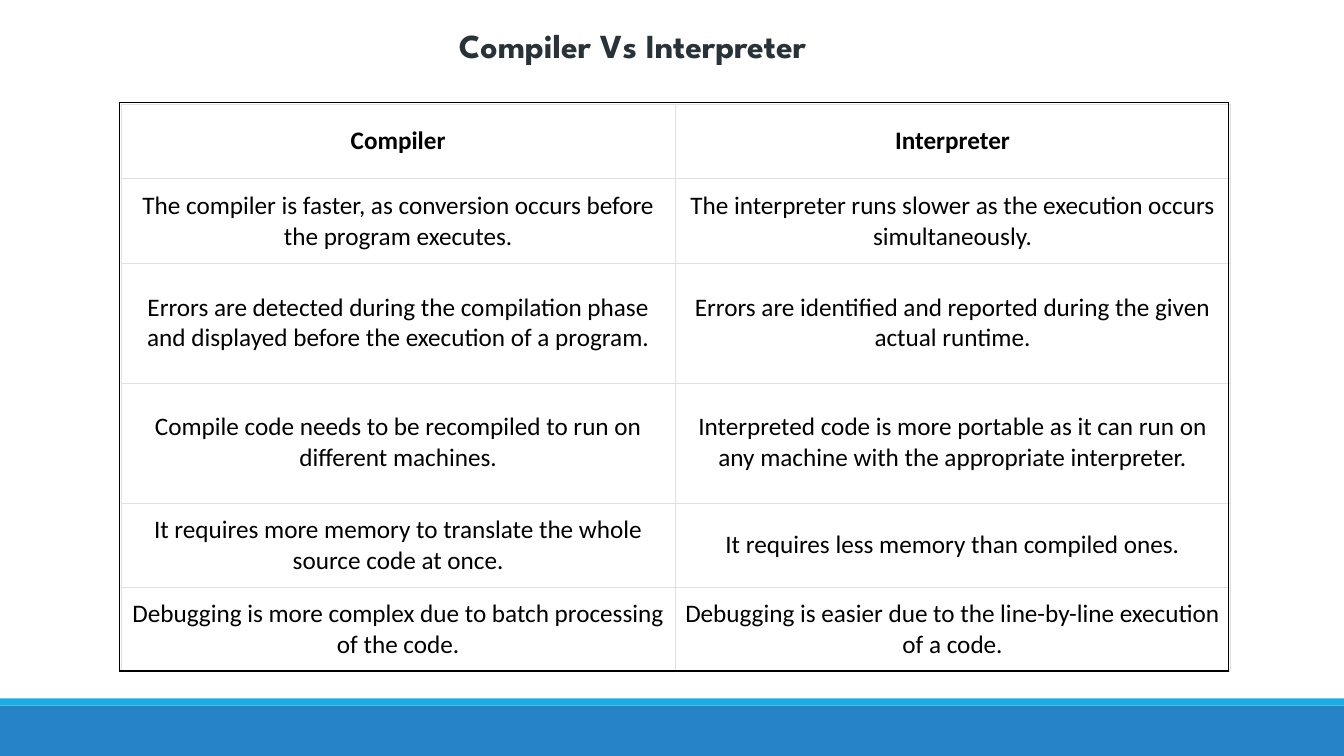
import dataclasses

import lxml.etree
import pptx
import pptx.dml.color
import pptx.enum.shapes
import pptx.enum.text
import pptx.oxml.ns
import pptx.util
from pptx.util import Cm


@dataclasses.dataclass(frozen=True)
class Theme:
    band: str = "2683C6"
    stripe: str = "1CADE4"
    title: str = "273239"
    text: str = "000000"
    paper: str = "FFFFFF"
    grid: str = "DFDFDF"
    frame: str = "000000"
    title_font: str = "League Spartan"
    body_font: str = "Calibri"
    title_size: int = 24
    body_size: int = 18
    grid_width: float = 0.18
    frame_width: float = 1


THEME = Theme()
SLIDE_WIDTH, SLIDE_HEIGHT = Cm(33.87), Cm(19.05)
ROW_HEIGHTS = [Cm(height) for height in (1.88, 2.11, 3.02, 3.02, 2.11, 2.11)]
COMPARISON = [
    ("Compiler", "Interpreter"),
    ("The compiler is faster, as conversion occurs before the program executes.",
     "The interpreter runs slower as the execution occurs simultaneously."),
    ("Errors are detected during the compilation phase and displayed before the execution of a program.",
     "Errors are identified and reported during the given actual runtime."),
    ("Compile code needs to be recompiled to run on different machines.",
     "Interpreted code is more portable as it can run on any machine with the appropriate interpreter."),
    ("It requires more memory to translate the whole source code at once.",
     "It requires less memory than compiled ones."),
    ("Debugging is more complex due to batch processing of the code.",
     "Debugging is easier due to the line-by-line execution of a code."),
]


def rgb(color):
    return pptx.dml.color.RGBColor.from_string(color)


def set_attributes(target, values):
    for name, value in values.items():
        setattr(target, name, value)


def write_centered(text_frame, text, font, size, color, bold):
    paragraph = text_frame.paragraphs[0]
    paragraph.alignment = pptx.enum.text.PP_ALIGN.CENTER
    run = paragraph.add_run()
    run.text = text
    set_attributes(run.font, {"name": font, "size": pptx.util.Pt(size), "bold": bold})
    run.font.color.rgb = rgb(color)


def add_bar(slide, top, height, color):
    shape = slide.shapes.add_shape(
        pptx.enum.shapes.MSO_SHAPE.RECTANGLE, 0, top, SLIDE_WIDTH, height)
    shape.shadow.inherit = False
    shape.fill.solid()
    shape.fill.fore_color.rgb = rgb(color)
    shape.line.fill.background()


def add_title(slide, text):
    box = slide.shapes.add_textbox(Cm(7.47), Cm(0.51), Cm(16.94), Cm(1.27))
    box.text_frame.word_wrap = True
    write_centered(box.text_frame, text, THEME.title_font, THEME.title_size,
                   THEME.title, True)


def set_borders(cell, color, width):
    """Draw all four sides; border elements must precede the cell's fill."""
    properties = cell._tc.get_or_add_tcPr()
    for index, side in enumerate(("lnL", "lnR", "lnT", "lnB")):
        line = lxml.etree.Element(
            pptx.oxml.ns.qn(f"a:{side}"), w=str(int(pptx.util.Pt(width))))
        fill = lxml.etree.SubElement(line, pptx.oxml.ns.qn("a:solidFill"))
        lxml.etree.SubElement(fill, pptx.oxml.ns.qn("a:srgbClr"), val=color)
        properties.insert(index, line)


def add_plain_table(slide, left, top, width, row_heights, column_count):
    table = slide.shapes.add_table(
        len(row_heights), column_count, left, top, width, sum(row_heights)).table
    set_attributes(table, {"first_row": False, "horz_banding": False})
    for row, height in zip(table.rows, row_heights):
        row.height = height
    return table


def add_comparison(slide):
    table = add_plain_table(slide, Cm(3.05), Cm(2.62), Cm(27.94), ROW_HEIGHTS, 2)
    for row_index, texts in enumerate(COMPARISON):
        is_header = row_index == 0
        padding = Cm(0.2) if is_header else Cm(0.3)
        for column_index, text in enumerate(texts):
            cell = table.cell(row_index, column_index)
            set_attributes(cell, {
                "margin_left": Cm(0.2), "margin_right": Cm(0.2),
                "margin_top": padding, "margin_bottom": padding,
                "vertical_anchor": pptx.enum.text.MSO_ANCHOR.MIDDLE,
            })
            cell.fill.solid()
            cell.fill.fore_color.rgb = rgb(THEME.paper)
            set_borders(cell, THEME.grid, THEME.grid_width)
            write_centered(cell.text_frame, text, THEME.body_font,
                           THEME.body_size, THEME.text, is_header)
    table.cell(0, 0).margin_left = table.cell(0, 0).margin_right = Cm(0.1)


def add_frame(slide):
    """Outline the comparison with a single unfilled cell."""
    table = add_plain_table(slide, Cm(3.02), Cm(2.59), Cm(27.94), [Cm(14.32)], 1)
    cell = table.cell(0, 0)
    cell.fill.background()
    set_borders(cell, THEME.frame, THEME.frame_width)


def main():
    presentation = pptx.Presentation()
    set_attributes(presentation, {"slide_width": SLIDE_WIDTH, "slide_height": SLIDE_HEIGHT})
    slide = presentation.slides.add_slide(presentation.slide_layouts[6])
    add_bar(slide, Cm(17.78), Cm(1.27), THEME.band)
    add_bar(slide, Cm(17.6), Cm(0.18), THEME.stripe)
    add_title(slide, "Compiler Vs Interpreter")
    add_comparison(slide)
    add_frame(slide)
    presentation.save("out.pptx")


if __name__ == "__main__":
    main()
